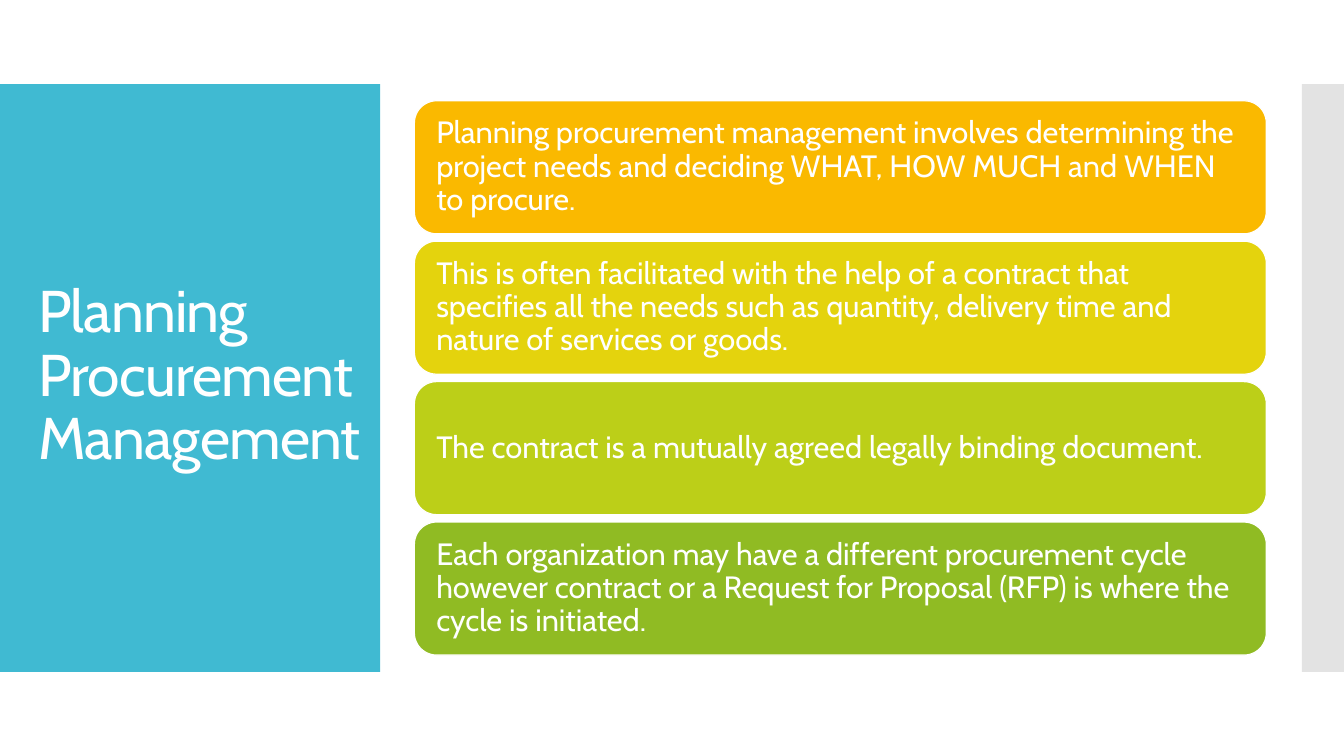
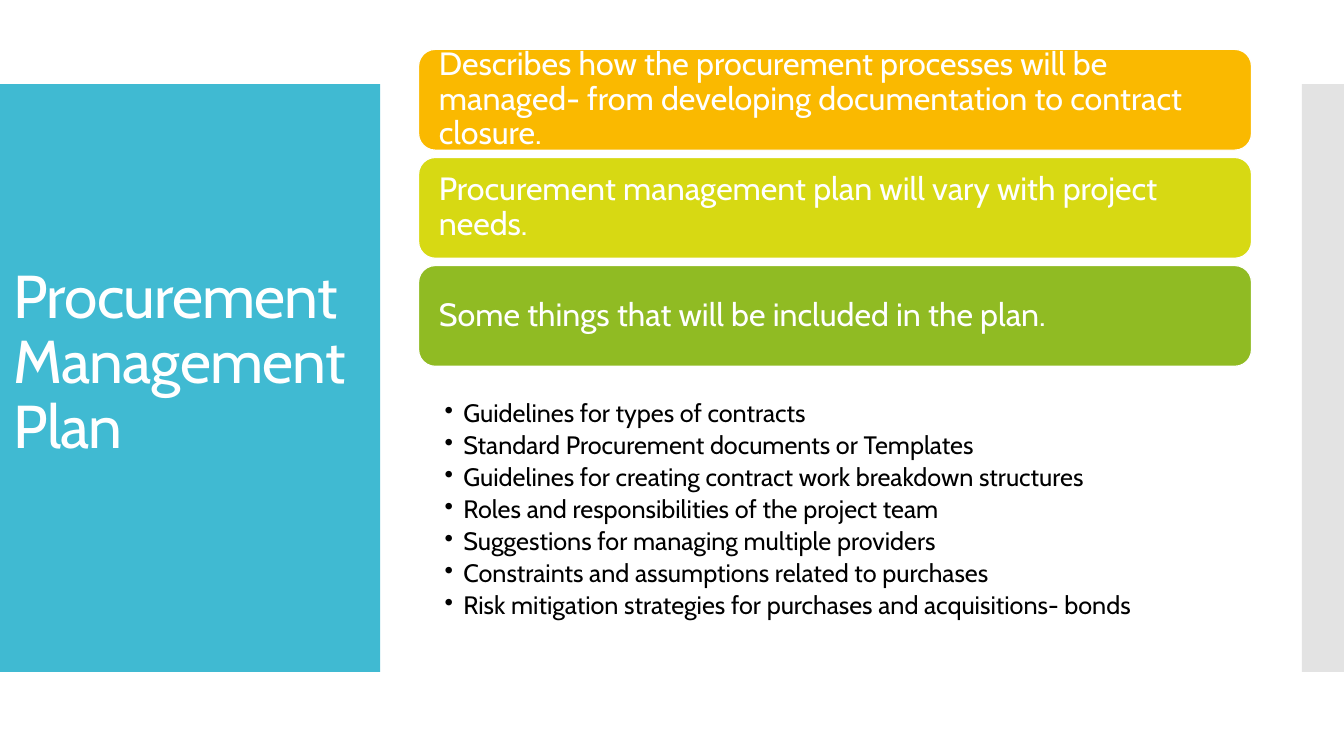
from lxml import etree
from pptx import Presentation
from pptx.dml.color import RGBColor
from pptx.enum.shapes import MSO_SHAPE
from pptx.enum.text import MSO_ANCHOR, MSO_AUTO_SIZE, PP_ALIGN
from pptx.oxml.ns import qn
from pptx.util import Pt

RECTANGLE = MSO_SHAPE.RECTANGLE
ROUNDED = MSO_SHAPE.ROUNDED_RECTANGLE
MIDDLE = MSO_ANCHOR.MIDDLE
TOP = MSO_ANCHOR.TOP
LEFT = PP_ALIGN.LEFT
NO_AUTOFIT = MSO_AUTO_SIZE.NONE

WHITE = RGBColor(0xFF, 0xFF, 0xFF)
BLACK = RGBColor(0x00, 0x00, 0x00)
BLUE = RGBColor(0x40, 0xBA, 0xD2)
GRAY = RGBColor(0xC8, 0xC8, 0xC8)
ORANGE = RGBColor(0xFA, 0xB9, 0x00)
YELLOW = RGBColor(0xE4, 0xD3, 0x0D)
LEMON = RGBColor(0xD7, 0xD9, 0x13)
LIME = RGBColor(0xBC, 0xCF, 0x18)
GREEN = RGBColor(0x90, 0xBB, 0x23)

FONT = "Cabin"
SLIDE_WIDTH, SLIDE_HEIGHT = 960, 540
BAND_TOP, BAND_HEIGHT = 60, 420
BULLET_INDENT = 13.5

PLANNING_CARDS = [
    ("Planning procurement management involves determining the project needs "
     "and deciding WHAT, HOW MUCH and WHEN to procure.", ORANGE),
    ("This is often facilitated with the help of a contract that specifies all "
     "the needs such as quantity, delivery time and nature of services or goods.",
     YELLOW),
    ("The contract is a mutually agreed legally binding document.", LIME),
    ("Each organization may have a different procurement cycle however contract "
     "or a Request for Proposal (RFP) is where the cycle is initiated.", GREEN),
]
PLAN_CARDS = [
    ("Describes how the procurement processes will be managed- from developing "
     "documentation to contract closure.", ORANGE),
    ("Procurement management plan will vary with project needs.", LEMON),
    ("Some things that will be included in the plan.", GREEN),
]
PLAN_CONTENTS = [
    "Guidelines for types of contracts",
    "Standard Procurement documents or Templates",
    "Guidelines for creating contract work breakdown structures",
    "Roles and responsibilities of the project team",
    "Suggestions for managing multiple providers",
    "Constraints and assumptions related to purchases",
    "Risk mitigation strategies for purchases and acquisitions- bonds",
]


def points(*lengths):
    """Return the lengths as point values."""
    return [Pt(length) for length in lengths]


def add_filled_shape(slide, kind, box, color):
    """Add a flat shape without a line."""
    shape = slide.shapes.add_shape(kind, *points(*box))
    shape.shadow.inherit = False
    shape.fill.solid()
    shape.fill.fore_color.rgb = color
    shape.line.fill.background()
    return shape


def prepare_frame(text_frame, anchor, side=7.2, vertical=0):
    """Set wrapping, anchor and margins of a text frame."""
    text_frame.word_wrap = True
    text_frame.auto_size = NO_AUTOFIT
    text_frame.vertical_anchor = anchor
    text_frame.margin_left = text_frame.margin_right = Pt(side)
    text_frame.margin_top = text_frame.margin_bottom = Pt(vertical)


def format_paragraph(paragraph, size, color):
    """Apply the common text style to a paragraph and its runs."""
    paragraph.alignment = LEFT
    paragraph.line_spacing = 0.9
    for run in paragraph.runs:
        run.font.name = FONT
        run.font.size = Pt(size)
        run.font.color.rgb = color


def add_layout_bands(slide):
    """Put the title panel and the right-hand band on the slide's layout."""
    panel = add_filled_shape(
        slide, RECTANGLE, (0, BAND_TOP, 271.5, BAND_HEIGHT), BLUE)
    edge = add_filled_shape(
        slide, RECTANGLE, (930, BAND_TOP, 30, BAND_HEIGHT), GRAY)
    color = edge.element.spPr.find(f"{qn('a:solidFill')}/{qn('a:srgbClr')}")
    etree.SubElement(color, qn("a:alpha"), val="50000")
    tree = slide.slide_layout.shapes.element
    for number, band in enumerate((panel, edge)):
        band.element.nvSpPr.cNvPr.id = 20 + number
        tree.insert(2 + number, band.element)


def set_title(slide, text, box, size):
    """Place and format the title placeholder."""
    title = slide.shapes.title
    title.left, title.top, title.width, title.height = points(*box)
    prepare_frame(title.text_frame, MIDDLE, vertical=3.6)
    title.text_frame.text = text
    paragraph = title.text_frame.paragraphs[0]
    format_paragraph(paragraph, size, WHITE)
    for run in paragraph.runs:
        run._r.get_or_add_rPr().set("spc", "-60")


def add_cards(slide, cards, box, pitch, size):
    """Stack rounded cards downwards from the first card's box."""
    left, top, width, height = box
    for index, (text, color) in enumerate(cards):
        card = add_filled_shape(
            slide, ROUNDED, (left, top + index * pitch, width, height), color)
        card.line.color.rgb = WHITE
        card.line.width = Pt(0.85)
        prepare_frame(card.text_frame, MIDDLE, side=11)
        card.text_frame.text = text
        format_paragraph(card.text_frame.paragraphs[0], size, WHITE)


def add_bullets(slide, items, box, size):
    """Add a bulleted list."""
    text_frame = slide.shapes.add_textbox(*points(*box)).text_frame
    prepare_frame(text_frame, TOP, side=0)
    text_frame.text = "\n".join(items)
    for paragraph in text_frame.paragraphs:
        properties = paragraph._p.get_or_add_pPr()
        properties.set("marL", str(Pt(BULLET_INDENT)))
        properties.set("indent", str(-Pt(BULLET_INDENT)))
        etree.SubElement(properties, qn("a:buChar"), char="•")
        format_paragraph(paragraph, size, BLACK)
        paragraph.space_after = Pt(3.4)


def main():
    """Build and save the presentation."""
    presentation = Presentation()
    presentation.slide_width = Pt(SLIDE_WIDTH)
    presentation.slide_height = Pt(SLIDE_HEIGHT)
    title_only = presentation.slide_layouts[5]

    planning = presentation.slides.add_slide(title_only)
    add_layout_bands(planning)
    set_title(planning, "Planning Procurement Management",
              (20, 88.5, 245, 362), 42)
    add_cards(planning, PLANNING_CARDS, (296, 72, 608.5, 95), 100.3, 22)

    plan = presentation.slides.add_slide(title_only)
    set_title(plan, "Procurement Management Plan", (2.5, 195, 324.5, 130), 43.2)
    add_cards(plan, PLAN_CARDS, (299, 35.3, 595, 72), 77.2, 23)
    add_bullets(plan, PLAN_CONTENTS, (317.5, 286.5, 563, 170), 18)

    presentation.save("out.pptx")


if __name__ == "__main__":
    main()
